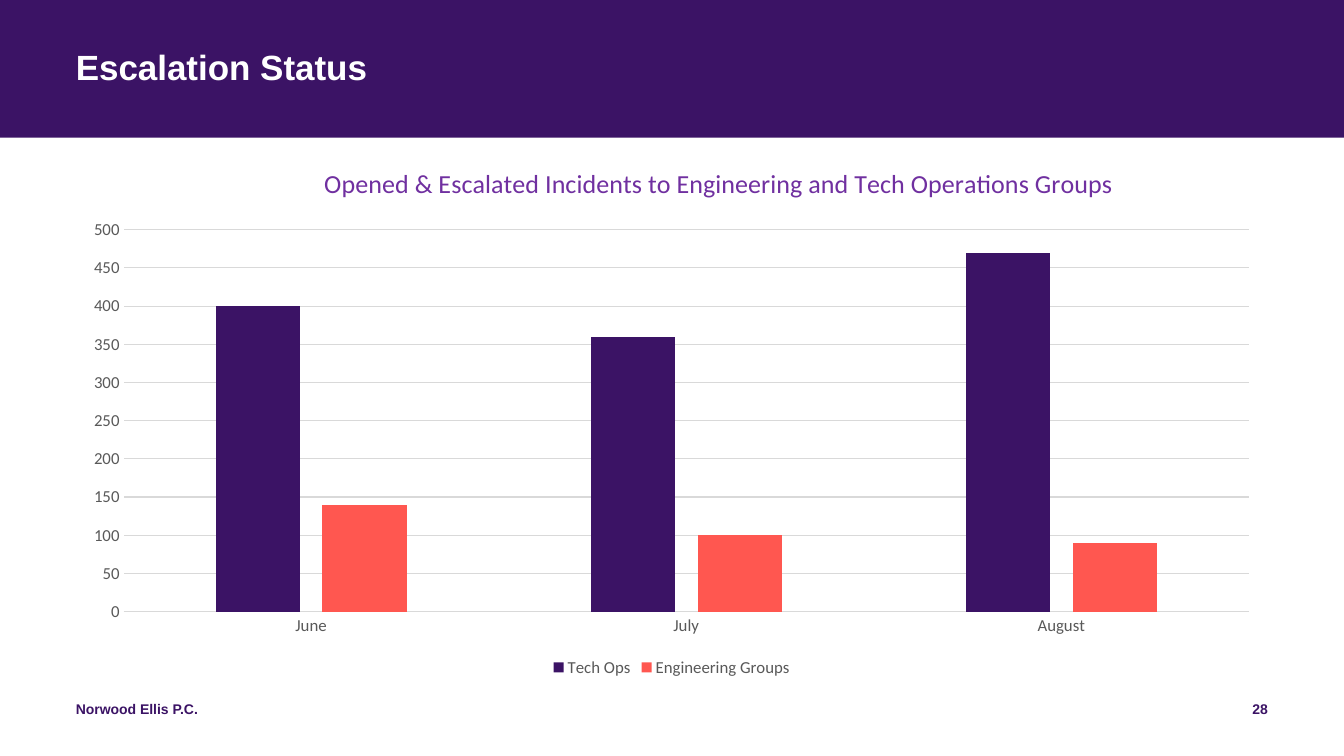
import pptx
import pptx.chart.data
import pptx.dml.color
import pptx.enum.chart
import pptx.enum.shapes
import pptx.enum.text
import pptx.oxml
import pptx.oxml.ns
import pptx.util
from pptx.util import Cm

COLORS = {
    "purple": "3B1365",
    "coral": "FF5750",
    "heading": "7030A0",
    "label": "595959",
    "grid": "D9D9D9",
    "white": "FFFFFF",
}
MARGIN = 1.91
MONTHS = ["June", "July", "August"]
INCIDENTS = {
    "Tech Ops": ("purple", [400, 360, 470]),
    "Engineering Groups": ("coral", [140, 100, 90]),
}


def rgb(name):
    return pptx.dml.color.RGBColor.from_string(COLORS[name])


def manual_layout(**fractions):
    """Return a chart layout element placed by fractions of the chart size."""
    layout = pptx.oxml.parse_xml(
        f'<c:layout {pptx.oxml.ns.nsdecls("c")}><c:manualLayout/></c:layout>')
    for tag, value in fractions.items():
        child = layout[0].makeelement(pptx.oxml.ns.qn(f"c:{tag}"), {"val": str(value)})
        layout[0].append(child)
    return layout


class SlideBuilder:
    text_font = "Arial"
    chart_font = "Calibri"

    def __init__(self, slide):
        self.slide = slide

    def style_font(self, font, name, size, color, bold=False):
        font.name = name
        font.size = pptx.util.Pt(size)
        font.bold = bold
        font.color.rgb = rgb(color)

    def band(self, width, height, color):
        shape = self.slide.shapes.add_shape(
            pptx.enum.shapes.MSO_SHAPE.RECTANGLE, 0, 0, Cm(width), Cm(height))
        shape.shadow.inherit = False
        shape.fill.solid()
        shape.fill.fore_color.rgb = rgb(color)
        shape.line.fill.background()

    def text(self, content, left, top, width, height, size, color,
             align=pptx.enum.text.PP_ALIGN.LEFT, line_spacing=1.0):
        box = self.slide.shapes.add_textbox(Cm(left), Cm(top), Cm(width), Cm(height))
        frame = box.text_frame
        frame.word_wrap = True
        frame.margin_left = frame.margin_top = 0
        frame.margin_right = frame.margin_bottom = 0
        paragraph = frame.paragraphs[0]
        paragraph.alignment = align
        paragraph.line_spacing = line_spacing
        run = paragraph.add_run()
        run.text = content
        self.style_font(run.font, self.text_font, size, color, bold=True)

    def column_chart(self, title, categories, series, left, top, width, height):
        data = pptx.chart.data.CategoryChartData()
        data.categories = categories
        for name, (_, values) in series.items():
            data.add_series(name, values)
        chart = self.slide.shapes.add_chart(
            pptx.enum.chart.XL_CHART_TYPE.COLUMN_CLUSTERED,
            Cm(left), Cm(top), Cm(width), Cm(height), data).chart
        self.style_font(chart.font, self.chart_font, 12, "label")

        plot = chart.plots[0]
        plot.vary_by_categories = False
        plot.gap_width = 219
        plot.overlap = -27
        for column, (color, _) in zip(plot.series, series.values()):
            column.format.fill.solid()
            column.format.fill.fore_color.rgb = rgb(color)

        self.chart_title(chart, title)
        self.chart_axes(chart)
        chart.has_legend = True
        chart.legend.position = pptx.enum.chart.XL_LEGEND_POSITION.BOTTOM
        chart.legend.include_in_layout = False
        self.style_font(chart.legend.font, self.chart_font, 12, "label")

        plot_area = plot._element.getparent()
        for layout in plot_area.findall(pptx.oxml.ns.qn("c:layout")):
            plot_area.remove(layout)
        plot_area.insert(0, manual_layout(
            layoutTarget="inner", xMode="edge", yMode="edge",
            x=0.044, y=0.15, w=0.936, h=0.719))

    def chart_title(self, chart, content):
        chart.has_title = True
        title = chart.chart_title
        title.include_in_layout = False
        run = title.text_frame.paragraphs[0].add_run()
        run.text = content
        self.style_font(run.font, self.chart_font, 18.6, "heading")
        for layout in title._element.findall(pptx.oxml.ns.qn("c:layout")):
            title._element.remove(layout)
        rich_text = title._element.find(pptx.oxml.ns.qn("c:tx"))
        rich_text.addnext(manual_layout(xMode="edge", yMode="edge", x=0.207, y=0.02))

    def chart_axes(self, chart):
        value_axis, category_axis = chart.value_axis, chart.category_axis
        for axis in (value_axis, category_axis):
            axis.major_tick_mark = pptx.enum.chart.XL_TICK_MARK.NONE
            axis.minor_tick_mark = pptx.enum.chart.XL_TICK_MARK.NONE
            self.style_font(axis.tick_labels.font, self.chart_font, 12, "label")
        value_axis.minimum_scale = 0
        value_axis.maximum_scale = 500
        value_axis.major_unit = 50
        value_axis.has_major_gridlines = True
        value_axis.format.line.fill.background()
        for line in (value_axis.major_gridlines.format.line, category_axis.format.line):
            line.color.rgb = rgb("grid")
            line.width = pptx.util.Pt(0.75)


def main():
    presentation = pptx.Presentation()
    presentation.slide_width = Cm(33.87)
    presentation.slide_height = Cm(19.05)
    builder = SlideBuilder(presentation.slides.add_slide(presentation.slide_layouts[6]))

    builder.band(33.87, 3.47, "purple")
    builder.text("Escalation Status", MARGIN, 1.27, 30.05, 2.06, 25, "white",
                 line_spacing=0.9)
    builder.column_chart(
        "Opened & Escalated Incidents to Engineering and Tech Operations Groups",
        MONTHS, INCIDENTS, 1.78, 3.78, 30.3, 13.39)
    builder.text("Norwood Ellis P.C.", MARGIN, 17.65, 11.43, 1.02, 10, "purple")
    builder.text("28", 24.33, 17.65, 7.62, 1.02, 10, "purple",
                 align=pptx.enum.text.PP_ALIGN.RIGHT)
    presentation.save("out.pptx")


if __name__ == "__main__":
    main()
